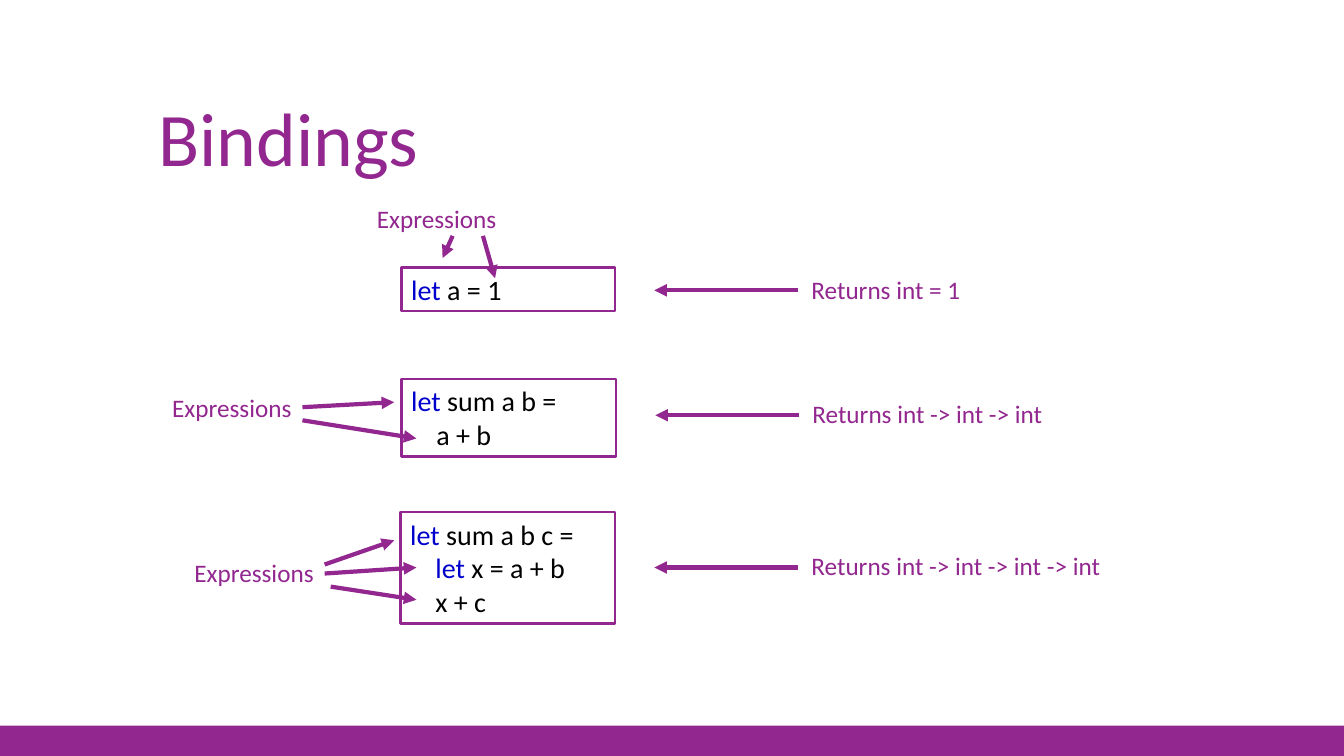
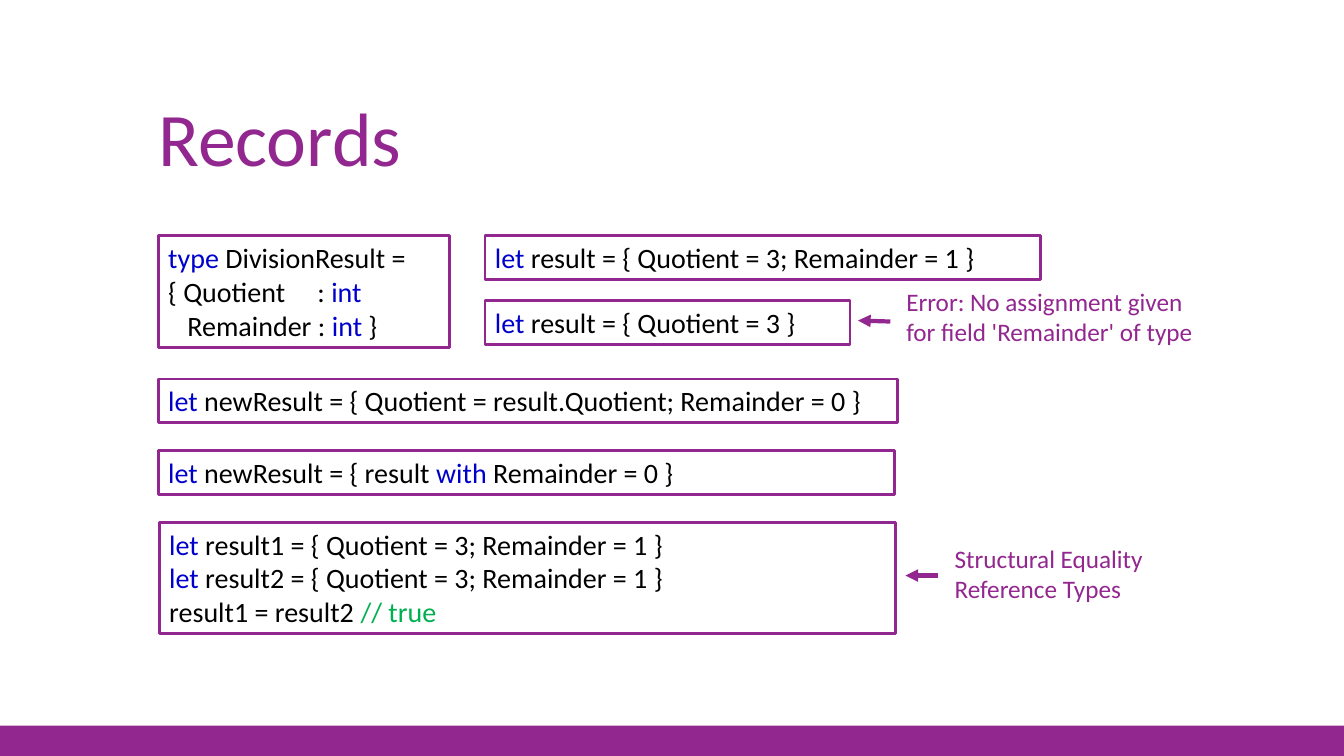
from lxml import etree
from pptx import Presentation
from pptx.dml.color import RGBColor
from pptx.enum.shapes import MSO_CONNECTOR, MSO_SHAPE
from pptx.enum.text import MSO_ANCHOR, PP_ALIGN
from pptx.oxml.ns import qn
from pptx.util import Inches, Pt

RECTANGLE = MSO_SHAPE.RECTANGLE
STRAIGHT = MSO_CONNECTOR.STRAIGHT
LEFT, TOP, BOTTOM = PP_ALIGN.LEFT, MSO_ANCHOR.TOP, MSO_ANCHOR.BOTTOM

FONT = "Calibri"
PURPLE, BLUE, GREEN, BLACK, WHITE = "92278F", "0000CC", "00B050", "000000", "FFFFFF"
SLIDE_WIDTH, SLIDE_HEIGHT, BAND_HEIGHT = 13.33, 7.5, 0.3
TITLE_AREA = (1.47, 0.51, 10.4, 1.35)
CODE_SIZE, CODE_LINE = 20, 0.335
LABEL_SIZE, LABEL_LINE = 18, 0.3
INSETS = 0.1
INDENT = 0.25
FIELD_INDENT, COLON_STOP = 0.19, 1.48

# Content: a code line is (indent, runs), a run is (text, colour)
LET = ("let ", BLUE)
INT = ("int", BLUE)


def let_line(text, indent=0):
    return indent, [LET, (text, BLACK)]


def plain_line(text, indent=0):
    return indent, [(text, BLACK)]


# Code boxes: (left, top, width, lines); labels: (left, top, width, lines)
# Arrows: (from x, from y, to x, to y)
SLIDES = [
    {
        "title": "Bindings",
        "code": [
            (3.98, 2.65, 2.12, [let_line("a = 1")]),
            (3.98, 3.76, 2.13, [let_line("sum a b ="), plain_line("a + b", INDENT)]),
            (3.97, 5.08, 2.13, [let_line("sum a b c ="),
                                let_line("x = a + b", INDENT),
                                plain_line("x + c", INDENT)]),
        ],
        "labels": [
            (7.95, 2.67, 1.7, ["Returns int = 1"]),
            (7.96, 3.9, 2.57, ["Returns int -> int -> int"]),
            (7.95, 5.41, 3.16, ["Returns int -> int -> int -> int"]),
            (3.64, 1.97, 1.4, ["Expressions"]),
            (1.61, 3.84, 1.4, ["Expressions"]),
            (1.83, 5.48, 1.4, ["Expressions"]),
        ],
        "arrows": [
            (7.91, 2.88, 6.49, 2.88),
            (7.92, 4.12, 6.5, 4.12),
            (7.91, 5.63, 6.49, 5.63),
            (4.79, 2.34, 4.91, 2.76),
            (4.49, 2.34, 4.39, 2.56),
            (3, 4.04, 3.91, 3.99),
            (3, 4.17, 4.13, 4.35),
            (3.22, 5.6, 3.91, 5.36),
            (3.22, 5.69, 4.13, 5.63),
            (3.28, 5.82, 4.13, 5.95),
        ],
    },
    {
        "title": "Records",
        "code": [
            (1.57, 2.34, 2.89, [
                (0, [("type ", BLUE), ("DivisionResult =", BLACK)]),
                (0, [("{ Quotient\t: ", BLACK), INT]),
                (FIELD_INDENT, [("Remainder : ", BLACK), INT, (" }", BLACK)]),
            ]),
            (4.81, 2.34, 5.51, [let_line("result = { Quotient = 3; Remainder = 1 }")]),
            (4.81, 2.98, 3.62, [let_line("result = { Quotient = 3 }")]),
            (1.57, 3.76, 7.33, [
                let_line("newResult = { Quotient = result.Quotient; Remainder = 0 }")]),
            (1.57, 4.47, 7.3, [
                (0, [LET, ("newResult = { result ", BLACK), ("with", BLUE),
                     (" Remainder = 0 }", BLACK)])]),
            (1.58, 5.18, 7.3, [
                let_line("result1 = { Quotient = 3; Remainder = 1 }"),
                let_line("result2 = { Quotient = 3; Remainder = 1 }"),
                (0, [("result1 = result2 ", BLACK), ("// true", GREEN)]),
            ]),
        ],
        "labels": [
            (8.89, 2.79, 3.08, ["Error: No assignment given",
                                "for field 'Remainder' of type"]),
            (9.37, 5.34, 2.09, ["Structural Equality", "Reference Types"]),
        ],
        "arrows": [(8.83, 3.19, 8.51, 3.18), (9.3, 5.71, 8.98, 5.71)],
    },
]


def colour(code):
    return RGBColor.from_string(code)


def inches(*values):
    return [Inches(value) for value in values]


def write_lines(frame, lines, size):
    frame.word_wrap = True
    for number, (indent, runs) in enumerate(lines):
        para = frame.paragraphs[0] if number == 0 else frame.add_paragraph()
        para.alignment = LEFT
        properties = para._p.get_or_add_pPr()
        if indent:
            properties.set("marL", str(Inches(indent)))
            properties.set("indent", "0")
        for text, shade in runs:
            if "\t" in text:
                stops = etree.SubElement(properties, qn("a:tabLst"))
                etree.SubElement(stops, qn("a:tab"), pos=str(Inches(COLON_STOP)), algn="l")
            span = para.add_run()
            span.text = text
            span.font.name = FONT
            span.font.size = Pt(size)
            span.font.color.rgb = colour(shade)


def add_rectangle(page, area, fill):
    box = page.shapes.add_shape(RECTANGLE, *inches(*area))
    box.shadow.inherit = False
    box.fill.solid()
    box.fill.fore_color.rgb = colour(fill)
    box.line.fill.background()
    return box


def add_code(page, left, top, width, lines):
    height = INSETS + CODE_LINE * len(lines)
    box = add_rectangle(page, (left, top, width, height), WHITE)
    box.line.color.rgb = colour(PURPLE)
    box.line.width = Pt(2)
    box.text_frame.vertical_anchor = TOP
    write_lines(box.text_frame, lines, CODE_SIZE)


def add_label(page, left, top, width, texts):
    height = INSETS + LABEL_LINE * len(texts)
    box = page.shapes.add_textbox(*inches(left, top, width, height))
    write_lines(box.text_frame, [(0, [(text, PURPLE)]) for text in texts], LABEL_SIZE)


def add_arrow(page, *ends):
    arrow = page.shapes.add_connector(STRAIGHT, *inches(*ends))
    arrow.line.color.rgb = colour(PURPLE)
    arrow.line.width = Pt(3)
    etree.SubElement(arrow.line._get_or_add_ln(), qn("a:tailEnd"), type="triangle")
    etree.SubElement(arrow._element.spPr, qn("a:effectLst"))


def add_page(deck, heading):
    page = deck.slides.add_slide(deck.slide_layouts[5])
    add_rectangle(page, (0, SLIDE_HEIGHT - BAND_HEIGHT, SLIDE_WIDTH, BAND_HEIGHT), PURPLE)
    title = page.shapes.title
    title.left, title.top, title.width, title.height = inches(*TITLE_AREA)
    title.text_frame.vertical_anchor = BOTTOM
    write_lines(title.text_frame, [(0, [(heading, PURPLE)])], 54)
    title.text_frame.paragraphs[0].line_spacing = 0.9
    return page


deck = Presentation()
deck.slide_width, deck.slide_height = inches(SLIDE_WIDTH, SLIDE_HEIGHT)
for content in SLIDES:
    page = add_page(deck, content["title"])
    for part, add_part in (("code", add_code), ("labels", add_label), ("arrows", add_arrow)):
        for item in content[part]:
            add_part(page, *item)
deck.save("out.pptx")
